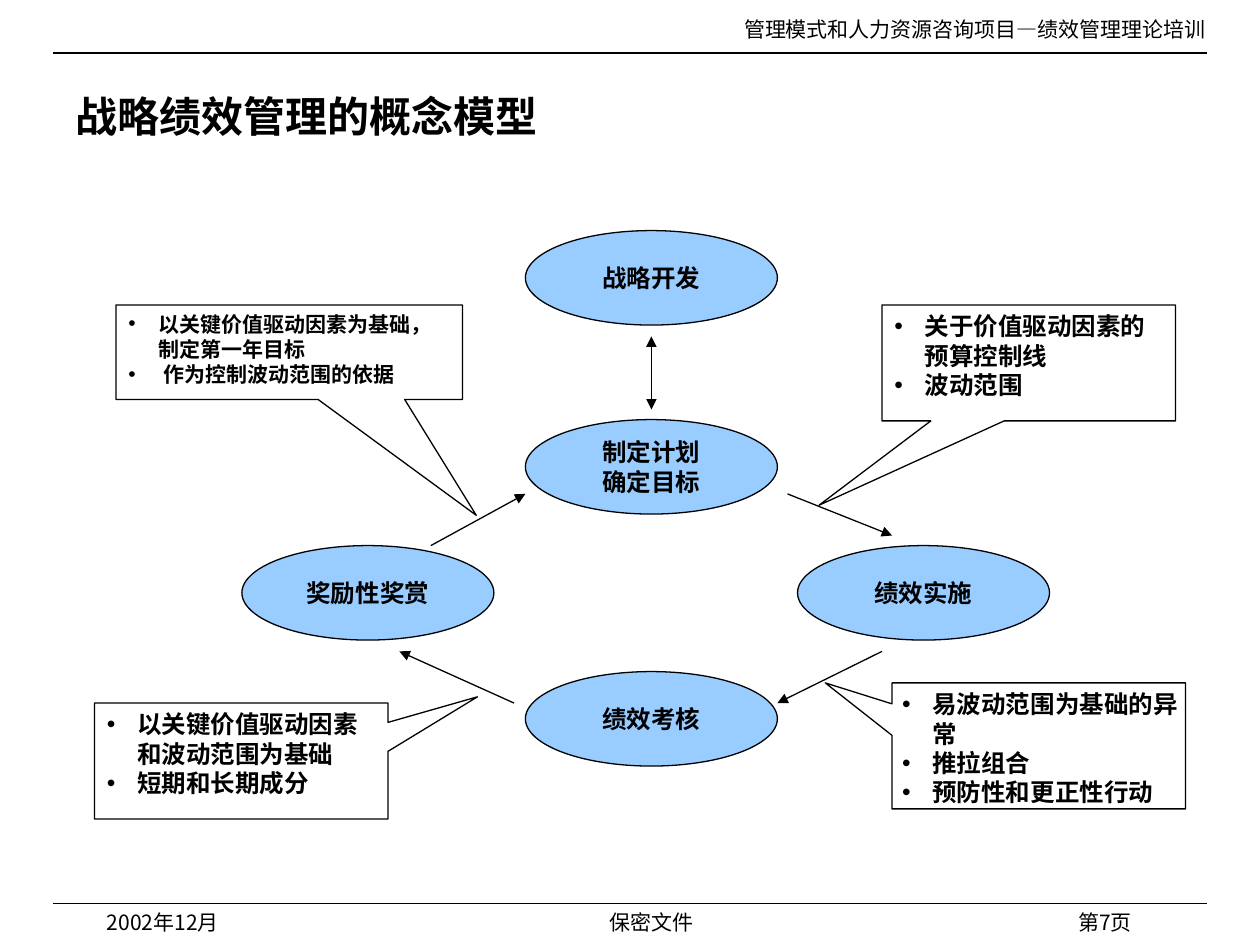
import pptx
import pptx.util
from pptx.dml.color import RGBColor
from pptx.enum.shapes import MSO_CONNECTOR, MSO_SHAPE
from pptx.enum.text import MSO_ANCHOR, PP_ALIGN
from pptx.oxml.ns import qn
from lxml import etree

Inches, Pt = pptx.util.Inches, pptx.util.Pt

BLACK = RGBColor(0x00, 0x00, 0x00)
SKY = RGBColor(0x99, 0xCC, 0xFF)
SERIF, CJK = "Times New Roman", "Noto Sans CJK SC"
LEFT, CENTER, RIGHT = PP_ALIGN.LEFT, PP_ALIGN.CENTER, PP_ALIGN.RIGHT
INSETS = (0.1, 0.05, 0.1, 0.05)

# Content: page furniture as text, box, format
TITLE = "战略绩效管理的概念模型"
FURNITURE = [
    ("管理模式和人力资源咨询项目—绩效管理理论培训", (5, 0.08, 4.67, 0.3), RIGHT, SERIF),
    ("2002年12月", (0.75, 7.17, 2.08, 0.25), LEFT, CJK),
    ("保密文件", (2.92, 7.17, 4.5, 0.25), CENTER, CJK),
    ("第7页", (7, 7.17, 2.08, 0.25), RIGHT, CJK),
]
RULES_Y = [0.42, 7.17]

# Cycle stages: lines, left, top
STAGE_SIZE = (2, 0.75)
STAGES = [
    (["战略开发"], 4.17, 1.83),
    (["制定计划", "确定目标"], 4.17, 3.33),
    (["绩效实施"], 6.33, 4.33),
    (["绩效考核"], 4.17, 5.33),
    (["奖励性奖赏"], 1.92, 4.33),
]

# Arrows: start, end, whether the start has a head too
ARROWS = [
    ((5.17, 2.67), (5.17, 3.25), True),
    ((6.25, 3.92), (7.08, 4.25), False),
    ((7, 5.17), (6.17, 5.58), False),
    ((4.08, 5.58), (3.17, 5.17), False),
    ((3.42, 4.33), (4.17, 3.92), False),
]

# Callouts: points, box, pointer tip, font size, insets
CALLOUTS = [
    (["以关键价值驱动因素为基础，制定第一年目标", " 作为控制波动范围的依据"],
     (0.92, 2.42, 2.75, 0.75), (3.78, 4.09), 12, INSETS),
    (["关于价值驱动因素的预算控制线", "波动范围"],
     (7, 2.42, 2.33, 0.92), (6.5, 4.01), 14, INSETS),
    (["易波动范围为基础的异常", "推拉组合", "预防性和更正性行动"],
     (7.08, 5.42, 2.33, 1), (6.55, 5.42), 14, (0.08, 0.05, 0, 0.05)),
    (["以关键价值驱动因素和波动范围为基础", "短期和长期成分"],
     (0.75, 5.58, 2.33, 0.92), (3.79, 5.53), 14, INSETS),
]


def add_bullet(p, indent=0.24):
    pPr = p._p.get_or_add_pPr()
    pPr.set("marL", str(Inches(indent)))
    pPr.set("indent", str(-Inches(indent)))
    etree.SubElement(pPr, qn("a:buFont")).set("typeface", "Arial")
    etree.SubElement(pPr, qn("a:buChar")).set("char", "•")


def write(sp, lines, size=12, bold=False, font=SERIF, align=LEFT,
          anchor=MSO_ANCHOR.TOP, insets=INSETS, wrap=True, bullets=False):
    tf = sp.text_frame
    tf.word_wrap = wrap
    tf.vertical_anchor = anchor
    tf.margin_left, tf.margin_top, tf.margin_right, tf.margin_bottom = map(Inches, insets)
    for i, line in enumerate(lines):
        p = tf.add_paragraph() if i else tf.paragraphs[0]
        p.alignment = align
        if bullets:
            add_bullet(p)
        r = p.add_run()
        r.text = line
        r.font.name, r.font.size, r.font.bold = font, Pt(size), bold
        r.font.color.rgb = BLACK
        etree.SubElement(r._r.get_or_add_rPr(), qn("a:ea")).set("typeface", CJK)


def add_text(slide, text, box, **fmt):
    write(slide.shapes.add_textbox(*map(Inches, box)), [text], **fmt)


def add_outlined(slide, kind, box, fill=None):
    sp = slide.shapes.add_shape(kind, *map(Inches, box))
    sp.shadow.inherit = False
    if fill is None:
        sp.fill.background()
    else:
        sp.fill.solid()
        sp.fill.fore_color.rgb = fill
    sp.line.color.rgb = BLACK
    sp.line.width = Pt(0.75)
    return sp


def add_line(slide, start, end, ends=()):
    cx = slide.shapes.add_connector(MSO_CONNECTOR.STRAIGHT, *map(Inches, start + end))
    cx.line.color.rgb = BLACK
    cx.line.width = Pt(0.75)
    for tag in ends:
        etree.SubElement(cx.line._get_or_add_ln(), qn(tag)).set("type", "triangle")
    etree.SubElement(cx._element.spPr, qn("a:effectLst"))


def main():
    prs = pptx.Presentation()
    prs.slide_width, prs.slide_height = Inches(10), Inches(7.5)
    slide = prs.slides.add_slide(prs.slide_layouts[6])

    # Header, footer and title
    for y in RULES_Y:
        add_line(slide, (0.42, y), (9.58, y))
    for text, box, align, font in FURNITURE:
        add_text(slide, text, box, align=align, font=font)
    add_text(slide, TITLE, (0.5, 0.58, 8.92, 0.67), size=24, bold=True,
             anchor=MSO_ANCHOR.MIDDLE)

    # Stages of the cycle
    for lines, x, y in STAGES:
        sp = add_outlined(slide, MSO_SHAPE.OVAL, (x, y) + STAGE_SIZE, SKY)
        write(sp, lines, size=14, bold=True, align=CENTER,
              anchor=MSO_ANCHOR.MIDDLE, wrap=False)

    # Arrows between the stages
    for start, end, both in ARROWS:
        add_line(slide, start, end, ["a:headEnd", "a:tailEnd"] if both else ["a:tailEnd"])

    # Callouts, each pointer measured from the box centre
    for points, box, tip, size, insets in CALLOUTS:
        sp = add_outlined(slide, MSO_SHAPE.RECTANGULAR_CALLOUT, box)
        x, y, w, h = box
        sp.adjustments[0] = (tip[0] - x) / w - 0.5
        sp.adjustments[1] = (tip[1] - y) / h - 0.5
        write(sp, points, size=size, bold=True, insets=insets, bullets=True)

    prs.save("out.pptx")


if __name__ == "__main__":
    main()
